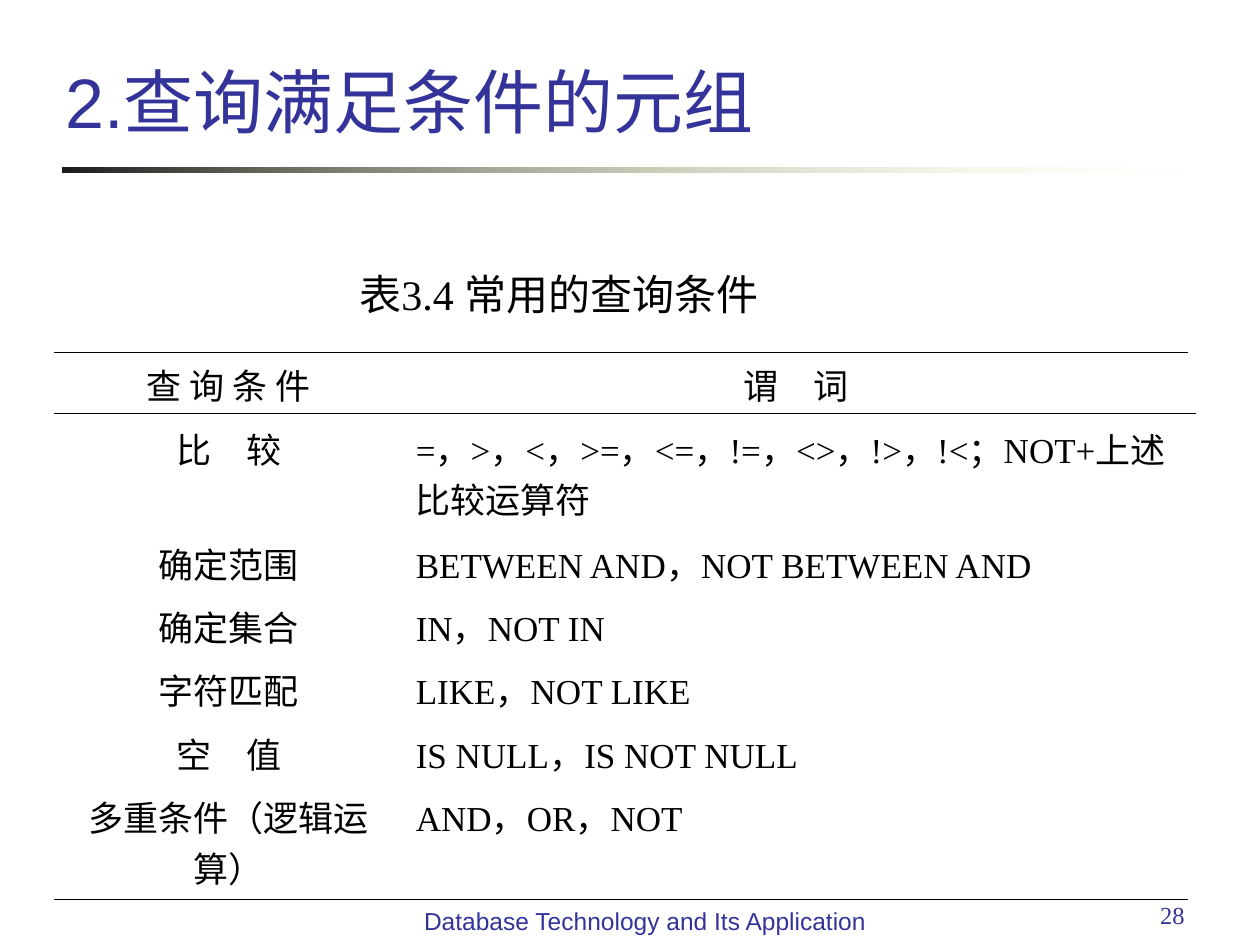
from dataclasses import dataclass

from lxml.etree import SubElement
from pptx import Presentation
from pptx.dml.color import RGBColor
from pptx.enum.shapes import MSO_CONNECTOR, MSO_SHAPE
from pptx.enum.text import MSO_ANCHOR, PP_ALIGN
from pptx.oxml import parse_xml
from pptx.oxml.ns import nsdecls, qn
from pptx.util import Inches, Pt


@dataclass(frozen=True)
class Theme:
    """Colours, fonts and type sizes of the slide."""
    blue: str = "333399"
    black: str = "000000"
    dark: str = "1C1C1C"
    pale: str = "FFFFB7"
    sans: str = "Arial"
    serif: str = "Times New Roman"
    head: int = 40
    label: int = 24
    body: int = 20
    small: int = 14


THEME = Theme()
PLAIN = "{2D5ABB26-0587-4C30-8999-92F81FD0307C}"
ROWS = [
    ("查 询 条 件", "谓　词"),
    ("比　较", "=，>，<，>=，<=，!=，<>，!>，!<；NOT+上述比较运算符"),
    ("确定范围", "BETWEEN AND，NOT BETWEEN AND"),
    ("确定集合", "IN，NOT IN"),
    ("字符匹配", "LIKE，NOT LIKE"),
    ("空　值", "IS NULL，IS NOT NULL"),
    ("多重条件（逻辑运算）", "AND，OR，NOT"),
]
TALL = (1, 6)


def apply(item, form):
    """Set each attribute in form on item."""
    for name, value in form.items():
        setattr(item, name, value)


def write(frame, text, size, face, color, align):
    """Put one styled paragraph into a text frame."""
    para = frame.paragraphs[0]
    para.alignment = align
    run = para.add_run()
    run.text = text
    apply(run.font, {"size": Pt(size), "name": face})
    run.font.color.rgb = RGBColor.from_string(color)


def add_text(slide, box, text, size, face, color, align,
             anchor=MSO_ANCHOR.TOP, wrap=True):
    """Place a text box in the given box."""
    frame = slide.shapes.add_textbox(*map(Inches, box)).text_frame
    apply(frame, {"word_wrap": wrap, "vertical_anchor": anchor})
    write(frame, text, size, face, color, align)


def add_head(slide, box):
    """Place the title and the fading bar below it."""
    left, top, width, height = box
    add_text(slide, box, "2.查询满足条件的元组", THEME.head, THEME.sans,
             THEME.blue, PP_ALIGN.LEFT, MSO_ANCHOR.BOTTOM)
    spot = (left + 0.08, top + height + 0.15, 9, 0.04)
    bar = slide.shapes.add_shape(MSO_SHAPE.RECTANGLE, *map(Inches, spot))
    bar.shadow.inherit = False
    bar.line.fill.background()
    bar.fill.gradient()
    bar.fill.gradient_angle = 0
    for stop, color in zip(bar.fill.gradient_stops, (THEME.dark, THEME.pale)):
        stop.color.rgb = RGBColor.from_string(color)
    last = bar.fill._fill._gradFill.findall(".//" + qn("a:srgbClr"))[-1]
    SubElement(last, qn("a:alpha"), val="0")


def add_edge(cell, side):
    """Draw a thin border on one side of a cell."""
    edge = parse_xml(
        f'<a:{side} {nsdecls("a")} w="{Pt(0.45)}"><a:solidFill>'
        f'<a:srgbClr val="{THEME.black}"/></a:solidFill></a:{side}>')
    cell._tc.get_or_add_tcPr().insert(0, edge)


def add_grid(slide, box):
    """Place the table of conditions and the rule under its header."""
    left, top, width, height = box
    grid = slide.shapes.add_table(len(ROWS), 2, *map(Inches, box)).table
    apply(grid, {"first_row": False, "horz_banding": False})
    grid._tbl.tblPr.find(qn("a:tableStyleId")).text = PLAIN
    for col, size in zip(grid.columns, (2.77, width - 2.77)):
        col.width = Inches(size)
    unit = height / (len(ROWS) + 0.82 * len(TALL))
    for i, texts in enumerate(ROWS):
        grid.rows[i].height = Inches(unit * (1.82 if i in TALL else 1))
        for j, text in enumerate(texts):
            cell = grid.cell(i, j)
            cell.fill.background()
            align = PP_ALIGN.LEFT if i and j else PP_ALIGN.CENTER
            write(cell.text_frame, text, THEME.body, THEME.serif,
                  THEME.black, align)
            if i == 0:
                add_edge(cell, "lnT")
            elif i == len(ROWS) - 1:
                add_edge(cell, "lnB")
    level = top + 0.48
    ends = map(Inches, (left, level, left + width + 0.06, level))
    rule = slide.shapes.add_connector(MSO_CONNECTOR.STRAIGHT, *ends)
    rule.line.width = Pt(0.75)
    rule.line.color.rgb = RGBColor.from_string(THEME.black)
    SubElement(rule._element.spPr, qn("a:effectLst"))


def add_foot(slide, box):
    """Place the centred course name and the page number at the right."""
    left, top, width, height = box
    add_text(slide, (left, top + 0.05, 3.86, height),
             "Database Technology and Its Application",
             THEME.small, THEME.sans, THEME.blue, PP_ALIGN.CENTER)
    add_text(slide, (left + width - 2.33, top, 2.33, height), "28",
             THEME.small, THEME.serif, THEME.blue, PP_ALIGN.RIGHT)


def main():
    """Build and save the slide."""
    deck = Presentation()
    apply(deck, {"slide_width": Inches(10), "slide_height": Inches(7.5)})
    slide = deck.slides.add_slide(deck.slide_layouts[6])
    add_head(slide, (0.42, 0, 8.78, 1.18))
    add_grid(slide, (0.43, 2.8, 9, 4.34))
    add_text(slide, (2.3, 2.08, 4.27, 0.5), "表3.4 常用的查询条件",
             THEME.label, THEME.serif, THEME.black, PP_ALIGN.CENTER,
             wrap=False)
    add_foot(slide, (3.19, 7.09, 6.31, 0.52))
    deck.save("out.pptx")


if __name__ == "__main__":
    main()
